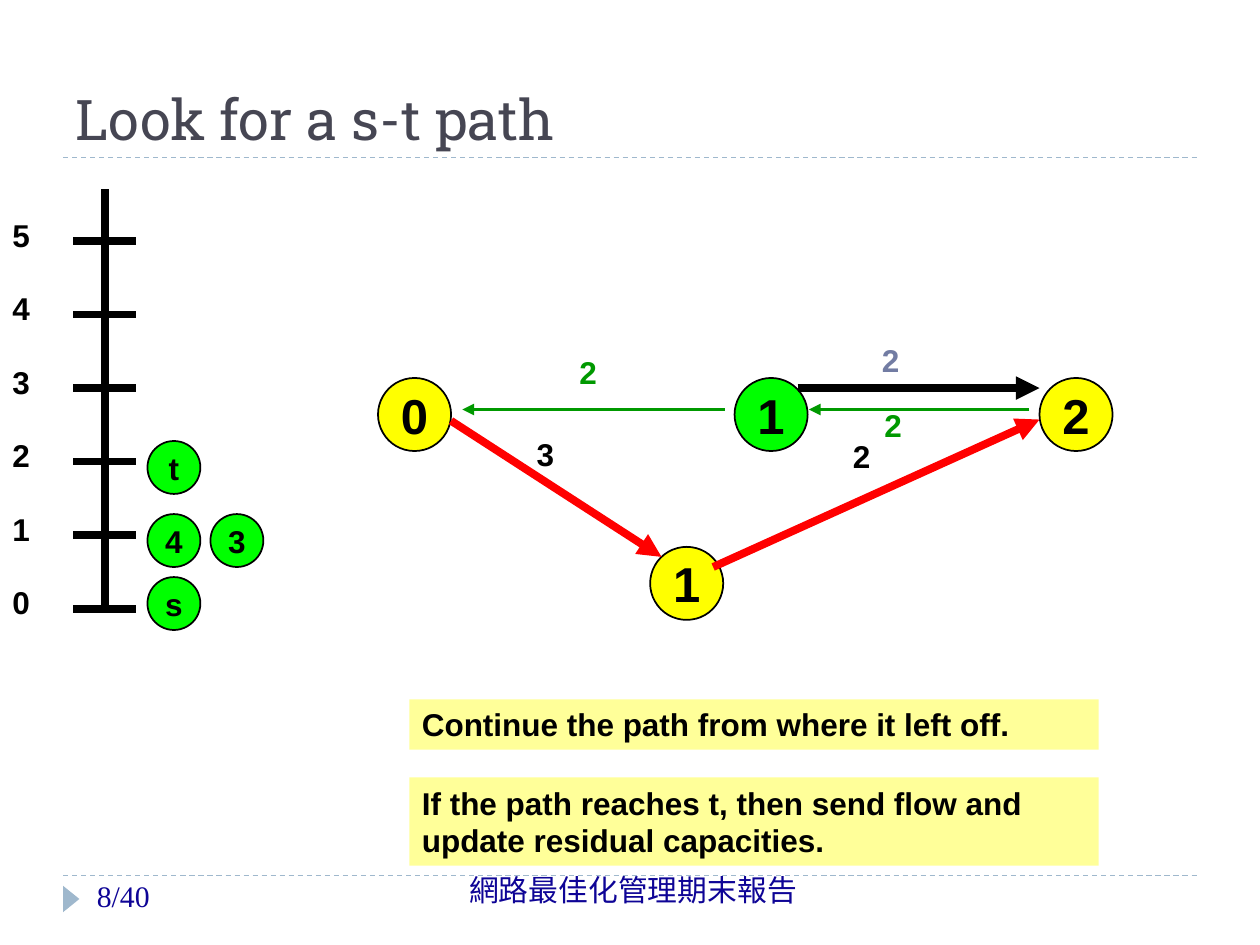
"""Build the slide that searches a residual network for an s-t path."""
from dataclasses import dataclass

from lxml import etree
from pptx import Presentation, slide as sl, util as u
from pptx.dml.color import RGBColor
from pptx.enum import dml, shapes, text
from pptx.oxml.ns import qn


@dataclass(frozen=True)
class Theme:
    ink: str = "000000"
    title: str = "464653"
    rule: str = "9FB8CD"
    footer: str = "0E0496"
    muted: str = "727CA3"
    reverse: str = "009900"
    augment: str = "FF0000"
    labelled: str = "00FF00"
    on_path: str = "FFFF00"
    note: str = "FFFF99"
    body_font: str = "Arial"
    title_font: str = "Roboto Slab"
    footer_font: str = "Cabin"
    number_font: str = "Times New Roman"
    title_size: float = 32
    node_size: float = 28
    body_size: float = 18
    footer_size: float = 17
    thin: float = 0.75
    outline: float = 1
    medium: float = 2.25
    thick: float = 4.5


def write(frame, words, *, size, color, font, bold=False, align=text.PP_ALIGN.LEFT,
          anchor=text.MSO_ANCHOR.TOP, wrap=True, spacing=None):
    frame.word_wrap = wrap
    frame.vertical_anchor = anchor
    paragraph = frame.paragraphs[0]
    paragraph.alignment = align
    paragraph.line_spacing = spacing
    run = paragraph.add_run()
    run.text = words
    run.font.size = u.Pt(size)
    run.font.name = font
    run.font.bold = bold
    run.font.color.rgb = RGBColor.from_string(color)


@dataclass
class Board:
    theme: Theme
    slide: sl.Slide

    def body(self, **changes):
        return dict(size=self.theme.body_size, color=self.theme.ink,
                    font=self.theme.body_font, bold=True) | changes

    def label(self, words, left, top, width, height=0.4, **fmt):
        box = self.slide.shapes.add_textbox(*map(u.Inches, (left, top, width, height)))
        write(box.text_frame, words, **self.body(**fmt))

    def filled(self, kind, left, top, width, height, fill, outlined=False):
        figure = self.slide.shapes.add_shape(kind, *map(u.Inches, (left, top, width, height)))
        figure.shadow.inherit = False
        figure.fill.solid()
        figure.fill.fore_color.rgb = RGBColor.from_string(fill)
        if outlined:
            figure.line.color.rgb = RGBColor.from_string(self.theme.ink)
            figure.line.width = u.Pt(self.theme.outline)
        else:
            figure.line.fill.background()
        return figure

    def node(self, name, left, top, diameter, fill, size):
        circle = self.filled(shapes.MSO_SHAPE.OVAL, left, top, diameter, diameter, fill, True)
        write(circle.text_frame, name, **self.body(
            size=size, align=text.PP_ALIGN.CENTER, anchor=text.MSO_ANCHOR.MIDDLE, wrap=False))

    def note(self, words, top, height):
        panel = self.filled(shapes.MSO_SHAPE.RECTANGLE, 3.25, top, 5.47, height, self.theme.note)
        write(panel.text_frame, words, **self.body())

    def line(self, start, end, color, width, dashed=False, arrow=False):
        stroke = self.slide.shapes.add_connector(
            shapes.MSO_CONNECTOR.STRAIGHT, *map(u.Inches, (*start, *end)))
        stroke.line.color.rgb = RGBColor.from_string(color)
        stroke.line.width = u.Pt(width)
        if dashed:
            stroke.line.dash_style = dml.MSO_LINE.DASH
        properties = stroke._element.spPr
        if arrow:
            etree.SubElement(properties.find(qn("a:ln")), qn("a:tailEnd"), type="triangle")
        etree.SubElement(properties, qn("a:effectLst"))


def add_frame(board):
    theme = board.theme
    for y in (6.95, 1.25):
        board.line((0.5, y), (9.5, y), theme.rule, theme.thin, dashed=True)
    marker = board.filled(shapes.MSO_SHAPE.ISOSCELES_TRIANGLE, 0.46, 7.07, 0.21, 0.13, theme.rule)
    marker.rotation = 90
    footer = dict(size=theme.footer_size, color=theme.footer, bold=False, spacing=0.9)
    board.label("網路最佳化管理期末報告", 3.11, 6.9, 3.83, font=theme.footer_font,
                align=text.PP_ALIGN.CENTER, **footer)
    board.label("8/40", 0.67, 6.95, 2.17, font=theme.number_font, **footer)
    board.label("Look for a s-t path", 0.5, 0.25, 9, 1, size=theme.title_size, color=theme.title,
                font=theme.title_font, bold=False, anchor=text.MSO_ANCHOR.BOTTOM)


def add_distance_scale(board):
    theme = board.theme
    base, step = 4.83, 3.5 / 6
    board.line((0.83, 1.5), (0.83, base), theme.ink, theme.thick)
    for distance in range(6):
        y = base - distance * step
        board.line((0.58, y), (1.08, y), theme.ink, theme.thick)
        board.label(str(distance), 0, y - 0.25, 0.42)
    for name, left, top in (("s", 1.17, 4.58), ("3", 1.67, 4.08),
                            ("4", 1.17, 4.08), ("t", 1.17, 3.5)):
        board.node(name, left, top, 0.42, theme.labelled, theme.body_size)


def add_network(board):
    theme = board.theme
    for name, left, top, fill in (("1", 5.83, 3, theme.labelled), ("0", 3, 3, theme.on_path),
                                  ("2", 8.25, 3, theme.on_path), ("1", 5.16, 4.34, theme.on_path)):
        board.node(name, left, top, 0.58, fill, theme.node_size)
    for capacity, left, top, color in (("3", 4.16, 3.4, theme.ink), ("2", 6.67, 3.42, theme.ink),
                                       ("2", 6.9, 2.66, theme.muted),
                                       ("2", 6.92, 3.17, theme.reverse),
                                       ("2", 4.5, 2.75, theme.reverse)):
        board.label(capacity, left, top, 0.59, color=color)
    for start, end, color, width in (
            ((6.33, 3.08), (8.25, 3.08), theme.ink, theme.thick),
            ((5.75, 3.25), (3.67, 3.25), theme.reverse, theme.medium),
            ((8.17, 3.25), (6.42, 3.25), theme.reverse, theme.medium),
            ((3.58, 3.34), (5.25, 4.42), theme.augment, theme.thick),
            ((5.66, 4.5), (8.25, 3.33), theme.augment, theme.thick)):
        board.line(start, end, color, width, arrow=True)


def main():
    deck = Presentation()
    deck.slide_width, deck.slide_height = u.Inches(10), u.Inches(7.5)
    board = Board(Theme(), deck.slides.add_slide(deck.slide_layouts[6]))
    add_frame(board)
    add_distance_scale(board)
    add_network(board)
    board.note("Continue the path from where it left off.", 5.55, 0.4)
    board.note("If the path reaches t, then send flow and update residual capacities.", 6.17, 0.7)
    deck.save("out.pptx")


if __name__ == "__main__":
    main()
